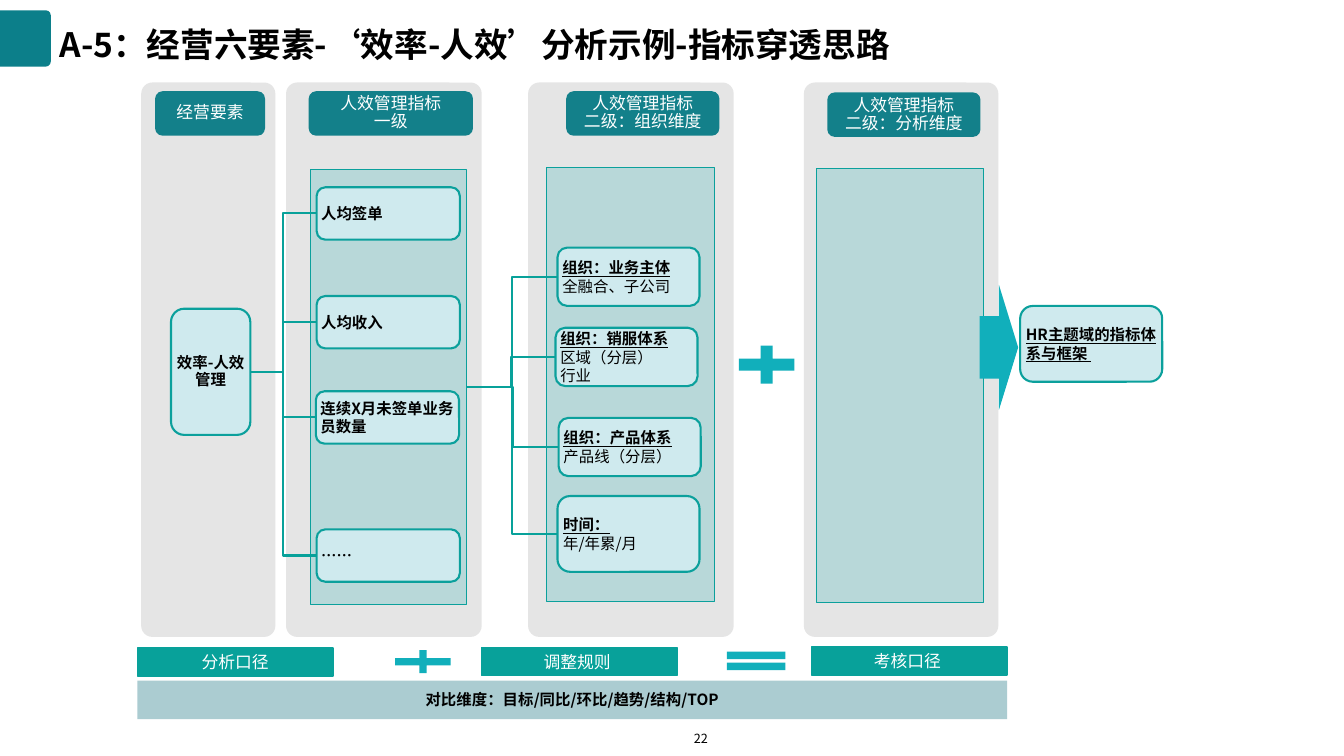
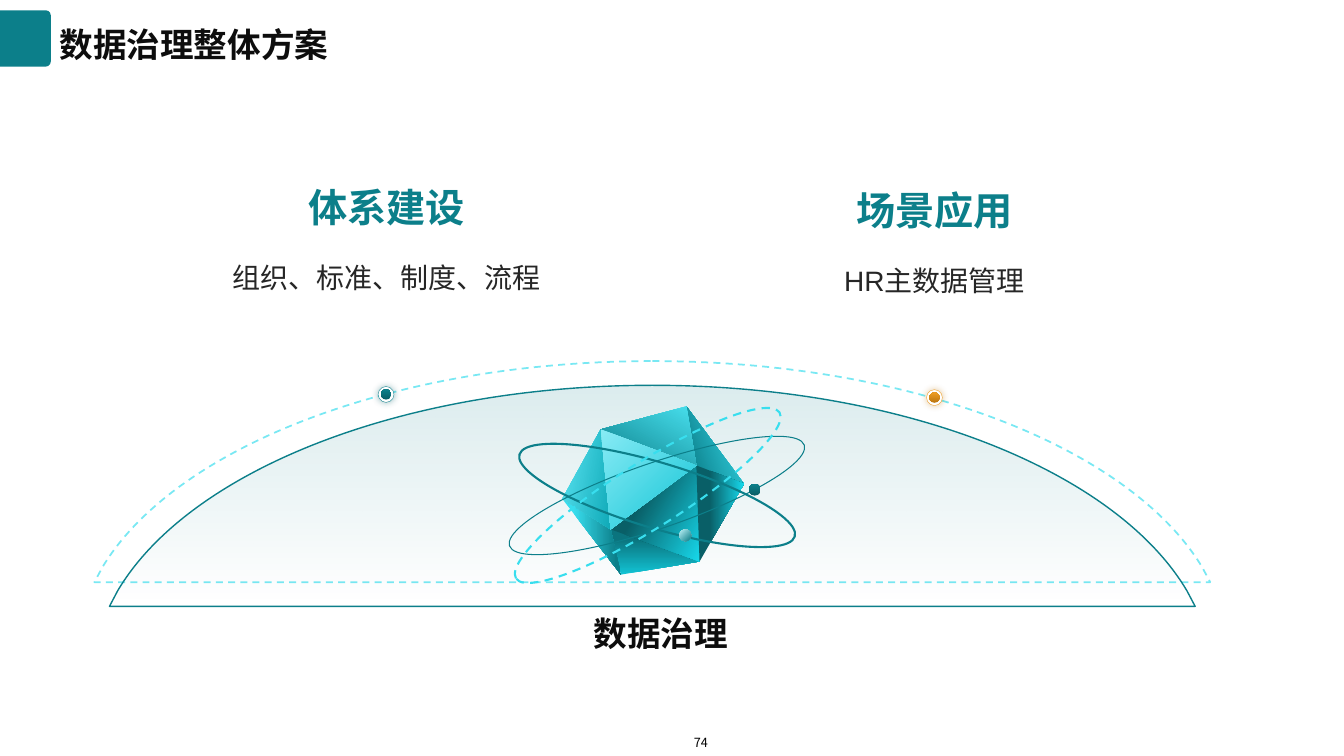
"""Build two slides: an efficiency indicator tree and a data governance plan."""
import dataclasses

import pptx
import pptx.dml.color
import pptx.enum.dml
import pptx.enum.shapes
import pptx.enum.text
import pptx.oxml.ns
import pptx.util
from lxml import etree

Cm, Pt = pptx.util.Cm, pptx.util.Pt
Kind = pptx.enum.shapes.MSO_SHAPE
Align = pptx.enum.text.PP_ALIGN
Anchor = pptx.enum.text.MSO_ANCHOR
qn = pptx.oxml.ns.qn


@dataclasses.dataclass(frozen=True)
class Theme:
    font: str = "Noto Sans CJK SC"
    latin: str = "Arial"
    black: str = "000000"
    ink: str = "0D0D0D"
    gray: str = "262626"
    white: str = "FFFFFF"
    teal: str = "0C7F8A"
    deep: str = "095F67"
    head: str = "13808A"
    edge: str = "0BA09C"
    rule: str = "08A19A"
    sign: str = "11AFBB"
    lane: str = "E5E5E5"
    panel: str = "B8D8D9"
    card: str = "CFEAEE"
    band: str = "ABCCD1"
    pale: str = "79E8F3"
    cyan: str = "38DEEE"
    gold: str = "EE9C22"
    rust: str = "BD770F"
    title: int = 24
    topic: int = 28
    lead: int = 20
    label: int = 12
    body: int = 11
    page: int = 9


T = Theme()
SIZE = (33.87, 19.05)
TITLE = (1.5, 0.25, 29.51, 1.42)
TIGHT = (0.05, 0.05, 0.05, 0.05)
NONE = (0, 0, 0, 0)

LANES = [
    ((3.56, 3.38), (3.91, 2.3, 2.77), None, ["经营要素"]),
    ((7.21, 4.93), (7.78, 2.3, 4.14), (7.82, 4.28, 3.94), ["人效管理指标", "一级"]),
    ((13.31, 5.18), (14.27, 2.3, 3.86), (13.78, 4.22, 4.22), ["人效管理指标", "二级：组织维度"]),
    ((20.26, 4.9), (20.85, 2.33, 3.86), (20.57, 4.24, 4.22), ["人效管理指标", "二级：分析维度"]),
]
ROOT = ((4.31, 7.78, 2, 3.18), "效率-人效管理")
FIRST = [
    (7.98, 4.72, "人均签单"),
    (7.98, 7.46, "人均收入"),
    (7.96, 9.86, "连续X月未签单业务员数量"),
    (7.98, 13.34, "……"),
]
SECOND = [
    (14.05, 6.24, 1.47, "组织：业务主体", ["全融合、子公司"]),
    (14, 8.26, 1.47, "组织：销服体系", ["区域（分层）", "行业"]),
    (14.08, 10.53, 1.47, "组织：产品体系", ["产品线（分层）"]),
    (14.05, 12.5, 1.91, "时间：", ["年/年累/月"]),
]
GOAL = ((25.71, 7.71, 3.58, 1.91), "HR主题域的指标体系与框架 ")
SIGNS = [
    (Kind.MATH_PLUS, (18.37, 8.54, 1.9, 1.3)),
    (Kind.MATH_PLUS, (9.71, 16.28, 1.9, 0.79)),
    (Kind.MATH_EQUAL, (18.05, 16.26, 2.01, 0.79)),
    (Kind.RIGHT_ARROW, (24.69, 7.18, 0.97, 3.15)),
]
RULES = [(3.46, 16.33, "分析口径"), (12.13, 16.31, "调整规则 "), (20.45, 16.3, "考核口径 ")]
BAND = ((3.46, 17.15, 21.92, 0.97), "对比维度：目标/同比/环比/趋势/结构/TOP")

TOPICS = [
    (4.47, 4.36, "体系建设", "组织、标准、制度、流程"),
    (18.28, 4.44, "场景应用", "HR主数据管理"),
]
MARKS = [(9.73, 9.94, T.teal, T.deep), (23.55, 10.02, T.gold, T.rust)]
ARC = [(0, 0), (0.464, 0), (0.855, 0.39), (0.985, 0.93)]
GEM = {
    "a": (15.14, 10.82), "b": (17.3, 10.24), "c": (18.75, 12.19), "d": (17.63, 14.15),
    "e": (15.65, 14.48), "f": (14.17, 12.57), "g": (15.39, 13.34), "h": (17.55, 11.73),
}
FACETS = [
    ("deg", 270, (1, "12C2D3"), (78, "0B747E")),
    ("fge", 0, (19, T.cyan), (92, T.teal)),
    ("fag", 10, (0, "59E3F1"), (100, "10AAB8")),
    ("hdg", 30, (36, T.deep), (100, "17D8EB")),
    ("hbc", 160, (1, T.cyan), (92, T.teal)),
    ("hcd", 0, (28, T.deep), (100, "17D8EB")),
    ("abh", 120, (0, "49E1EF"), (100, T.teal)),
    ("ahg", 45, (0, "88EBF5"), (100, "13C5D6")),
]
ORBITS = [
    (12.63, 7.85, 341.1, T.teal, 0.75, False),
    (12.94, 7.24, 16.6, T.teal, 1.5, False),
    (12.4, 7.85, 327.8, T.cyan, 1.5, True),
]
NODES = [(18.87, 12.19, 270, T.deep), (17.12, 13.34, 45, "BDF4F9")]
CORE = ((14.15, 15.24, 5, 1.12), "数据治理")


def rgb(hue):
    return pptx.dml.color.RGBColor.from_string(hue)


def paint(shape, fill=None, line=None, width=1, dash=False):
    shape.shadow.inherit = False
    if fill:
        shape.fill.solid()
        shape.fill.fore_color.rgb = rgb(fill)
    else:
        shape.fill.background()
    if line:
        shape.line.color.rgb = rgb(line)
        shape.line.width = Pt(width)
        if dash:
            shape.line.dash_style = pptx.enum.dml.MSO_LINE.DASH
    else:
        shape.line.fill.background()
    return shape


def blend(shape, angle, *stops):
    shape.fill.gradient()
    shape.fill.gradient_angle = (360 - angle) % 360
    for stop, (place, hue, *alpha) in zip(shape.fill.gradient_stops, stops):
        stop.position = place / 100
        stop.color.rgb = rgb(hue)
    tints = shape.element.spPr.find(qn("a:gradFill")).iter(qn("a:srgbClr"))
    for tint, (place, hue, *alpha) in zip(tints, stops):
        for part in alpha:
            etree.SubElement(tint, qn("a:alpha"), val=str(part * 1000))


def glow(shape, hue):
    effects = shape.element.spPr.find(qn("a:effectLst"))
    outer = etree.SubElement(effects, qn("a:outerShdw"), blurRad=str(Pt(5)),
                             dist="0", dir="0", algn="ctr", rotWithShape="0")
    tint = etree.SubElement(outer, qn("a:srgbClr"), val=hue)
    etree.SubElement(tint, qn("a:alpha"), val="40000")


def write(shape, lines, size, hue, bold=False, align=Align.CENTER, anchor=Anchor.MIDDLE,
          pad=(0.25, 0.13, 0.25, 0.13), gap=None, under=False, font=T.font):
    frame = shape.text_frame
    frame.word_wrap = True
    frame.auto_size = pptx.enum.text.MSO_AUTO_SIZE.NONE
    frame.vertical_anchor = anchor
    frame.margin_left, frame.margin_top, frame.margin_right, frame.margin_bottom = map(Cm, pad)
    for i, line in enumerate(lines):
        para = frame.paragraphs[0] if i == 0 else frame.add_paragraph()
        para.alignment = align
        if gap:
            para.line_spacing = gap
        run = para.add_run()
        run.text = line
        run.font.size = Pt(size)
        run.font.bold = bold and not (under and i)
        run.font.underline = under and i == 0
        run.font.color.rgb = rgb(hue)
        run.font.name = font
        etree.SubElement(run._r.get_or_add_rPr(), qn("a:ea"), typeface=T.font)


def draw(slide, kind, box, *look, **more):
    return paint(slide.shapes.add_shape(kind, *map(Cm, box)), *look, **more)


def note(slide, box, line, *look, **more):
    write(slide.shapes.add_textbox(*map(Cm, box)), [line], *look, **more)


def outline(slide, points):
    first, *rest = [(Cm(x), Cm(y)) for x, y in points]
    form = slide.shapes.build_freeform(*first)
    form.add_line_segments(rest, close=True)
    return paint(form.convert_to_shape())


def card(slide, box, lines, align=Align.LEFT, **more):
    shape = draw(slide, Kind.ROUNDED_RECTANGLE, box, T.card, T.edge, 1.5)
    write(shape, lines, T.body, T.black, True, align, pad=TIGHT, **more)
    return shape


def link(slide, start, end):
    wire = slide.shapes.add_connector(pptx.enum.shapes.MSO_CONNECTOR.ELBOW, 0, 0, 0, 0)
    wire.begin_connect(start, 3)
    wire.end_connect(end, 1)
    wire.line.color.rgb = rgb(T.rule)
    wire.line.width = Pt(1.5)
    etree.SubElement(wire.element.spPr, qn("a:effectLst"))


def brand(layout, slide):
    tab = draw(slide, Kind.ROUND_2_SAME_RECTANGLE, (-0.07, 0.33, 1.42, 1.28), T.teal)
    tab.rotation = 90
    tab.adjustments[0] = 0.1
    layout.shapes.element.insert(2, tab.element)


def start(deck, layout, title, hue, page, top):
    slide = deck.slides.add_slide(layout)
    head = slide.shapes.title
    head.left, head.top, head.width, head.height = map(Cm, TITLE)
    write(head, [title], T.title, hue, True, Align.LEFT, pad=NONE, gap=1.3)
    note(slide, (16.89, top, 1.55, 0.64), page, T.page, T.black,
         anchor=Anchor.TOP, pad=(0.1, 0.13, 0.1, 0.13))
    return slide


def tree(slide):
    panels = []
    for (x, wide), (left, top, span), panel, lines in LANES:
        lane = draw(slide, Kind.ROUNDED_RECTANGLE, (x, 2.08, wide, 13.97), T.lane)
        lane.adjustments[0] = 0.28 / wide
        if panel:
            panels.append(draw(slide, Kind.RECTANGLE, (*panel, 10.95), T.panel, T.edge, 0.75))
        head = draw(slide, Kind.ROUNDED_RECTANGLE, (left, top, span, 1.12), T.head)
        write(head, lines, T.label, T.white, pad=(0.23, 0.1, 0.23, 0.1), gap=0.9)
    box, line = ROOT
    root = card(slide, box, [line], Align.CENTER, gap=0.9)
    for x, y, line in FIRST:
        link(slide, root, card(slide, (x, y, 3.61, 1.32), [line]))
    for x, y, high, head, lines in SECOND:
        link(slide, panels[0], card(slide, (x, y, 3.58, high), [head, *lines], under=True))
    for kind, box in SIGNS:
        draw(slide, kind, box, T.sign)
    box, line = GOAL
    card(slide, box, [line], under=True)
    for x, y, line in RULES:
        bar = draw(slide, Kind.RECTANGLE, (x, y, 4.93, 0.71), T.rule, T.rule)
        write(bar, [line], T.label, T.white)
    box, line = BAND
    write(draw(slide, Kind.RECTANGLE, box, T.band), [line], T.body, T.black, True)


def bend(shape, first):
    """Turn three straight steps, from the given one, into one curve."""
    steps = list(shape.element.iter(qn("a:lnTo")))[first:first + 3]
    curve = etree.Element(qn("a:cubicBezTo"))
    steps[0].addprevious(curve)
    for step in steps:
        curve.append(step[0])
        step.getparent().remove(step)


def dome(slide, top, half, high=5.57):
    right = ARC + [(1, 1)]
    ring = right + [(-x, y) for x, y in right[::-1]]
    shape = outline(slide, [(16.44 + x * half, top + y * high) for x, y in ring])
    bend(shape, 6)
    bend(shape, 0)
    return shape


def plan(slide):
    paint(dome(slide, 9.1, 14.06), line=T.pale, width=1.25, dash=True)
    for x, y, hue, dark in MARKS:
        ring = draw(slide, Kind.OVAL, (x - 0.2, y - 0.2, 0.4, 0.4), T.white, hue, 0.25)
        glow(ring, dark)
        dot = draw(slide, Kind.OVAL, (x - 0.13, y - 0.13, 0.26, 0.26))
        blend(dot, 270, (1, dark), (100, hue))
    for x, y, head, line in TOPICS:
        note(slide, (x, y, 10.54, 1.45), head, T.topic, T.teal, True,
             anchor=Anchor.BOTTOM, pad=NONE, font=T.latin)
        note(slide, (x, y + 1.78, 10.54, 1.85), line, T.lead, T.gray,
             anchor=Anchor.TOP, pad=NONE, gap=1.5, font=T.latin)
    hill = paint(dome(slide, 9.71, 13.68), line=T.teal)
    blend(hill, 90, (0, T.teal, 15), (100, T.teal, 0))
    for keys, angle, *stops in FACETS:
        blend(outline(slide, [GEM[key] for key in keys]), angle, *stops)
    for x, wide, turn, hue, width, dash in ORBITS:
        orbit = draw(slide, Kind.OVAL, (x, 11.66, wide, 1.65), None, hue, width, dash)
        orbit.rotation = turn
    for x, y, angle, hue in NODES:
        blend(draw(slide, Kind.OVAL, (x, y, 0.3, 0.3)), angle, (1, hue), (100, T.teal))
    box, line = CORE
    note(slide, box, line, T.title, T.ink, True, pad=NONE, gap=1.3)


def main():
    deck = pptx.Presentation()
    deck.slide_width, deck.slide_height = map(Cm, SIZE)
    layout = deck.slide_layouts[5]
    first = start(deck, layout, "A-5：经营六要素-‘效率-人效’分析示例-指标穿透思路", T.black, "22", 18.29)
    brand(layout, first)
    tree(first)
    plan(start(deck, layout, "数据治理整体方案", T.ink, "74", 18.39))
    deck.save("out.pptx")


if __name__ == "__main__":
    main()
